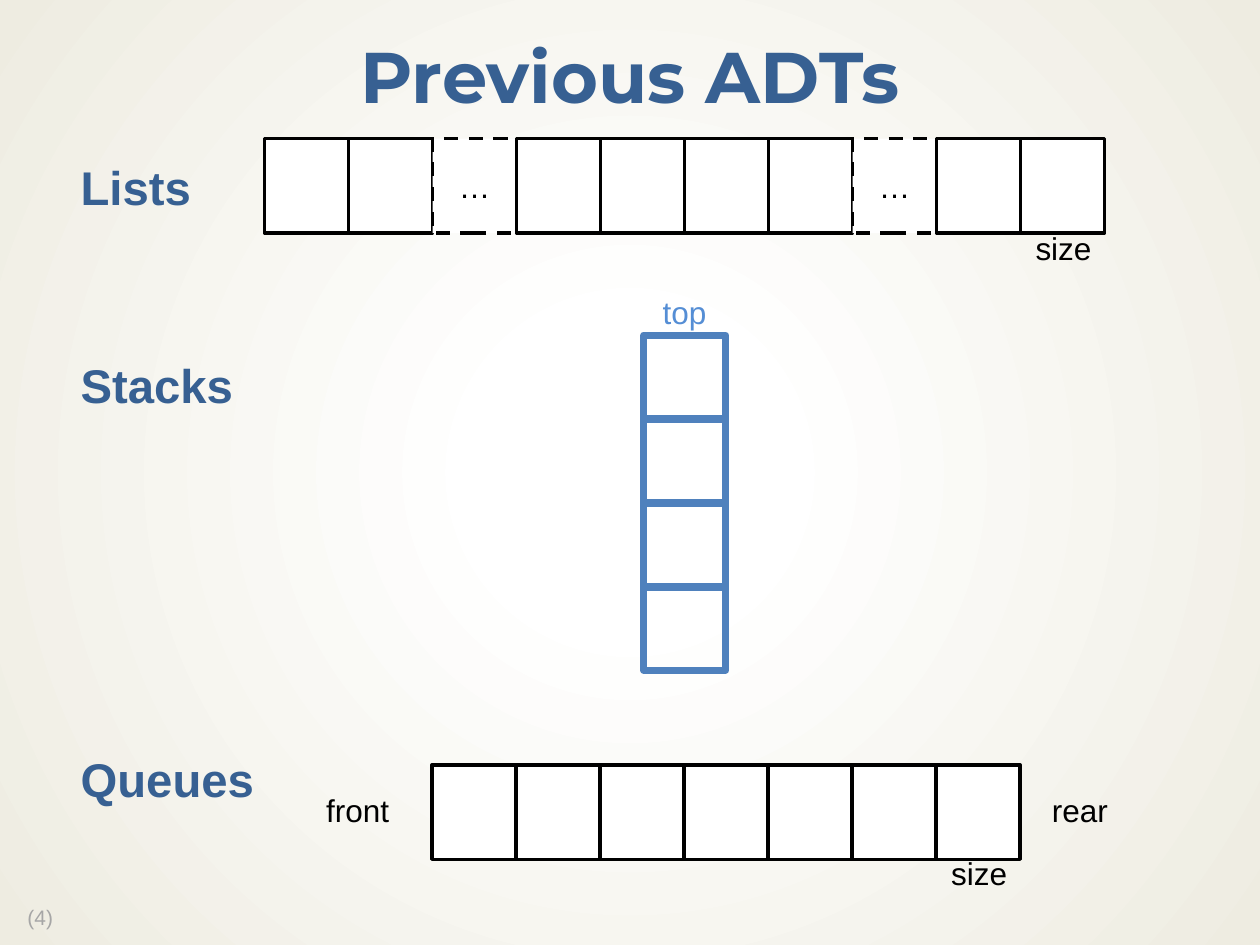
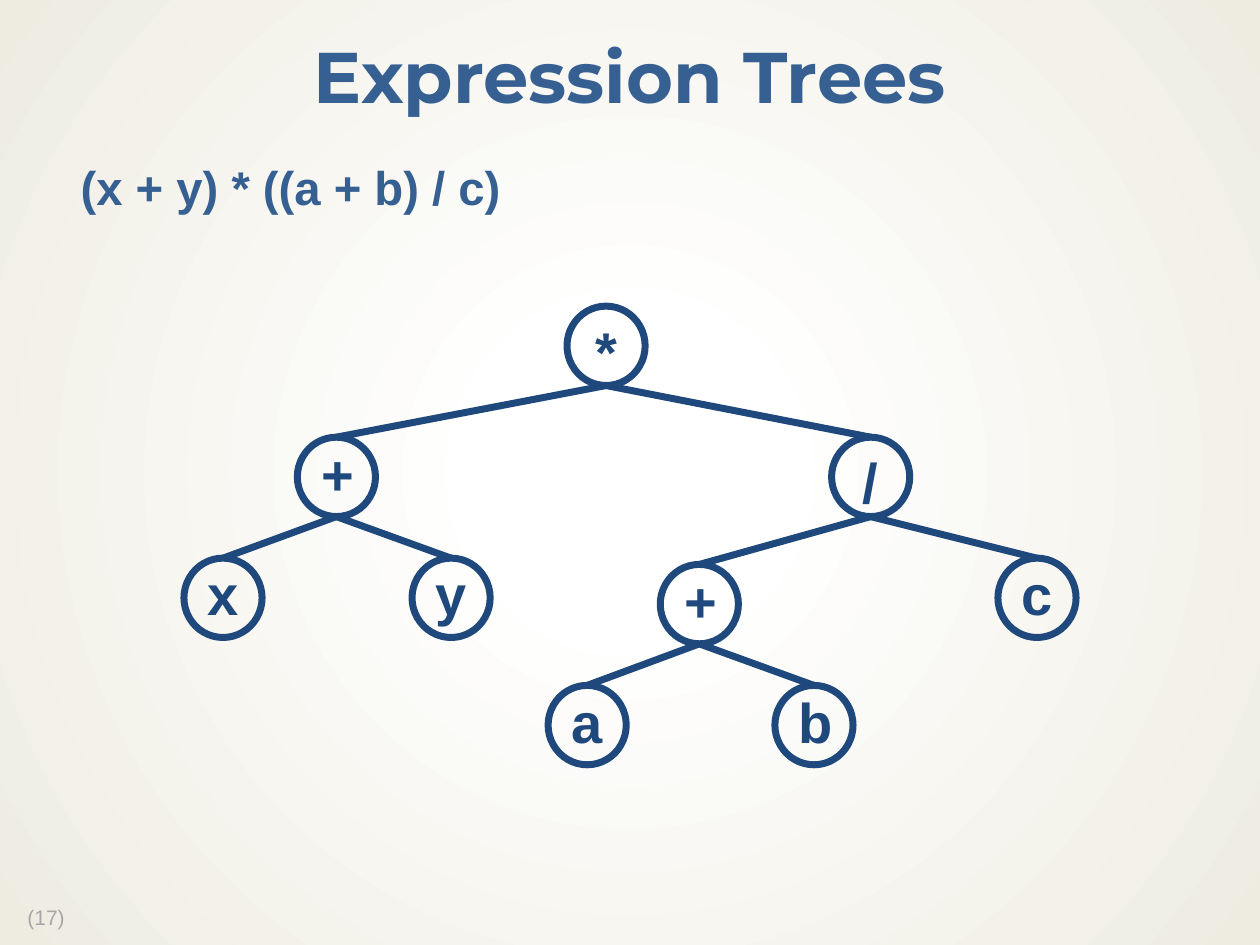
from lxml.etree import SubElement
from pptx import Presentation
from pptx.dml.color import RGBColor
from pptx.enum.dml import MSO_LINE
from pptx.enum.shapes import MSO_CONNECTOR, MSO_SHAPE
from pptx.enum.text import MSO_ANCHOR, MSO_AUTO_SIZE, PP_ALIGN
from pptx.oxml import parse_xml
from pptx.oxml.ns import nsdecls, qn
from pptx.util import Inches, Pt

COLORS = {
    "heading": "376092",
    "page_number": "A6A6A6",
    "ink": "000000",
    "paper": "FFFFFF",
    "edge": "EEECE1",
    "stack": "4F81BD",
    "top_label": "558ED5",
    "tree": "1F497D",
}
TITLE_FONT = {"name": "Montserrat", "size": Pt(41), "bold": True}
HEADING_FONT = {"name": "Arial", "size": Pt(27), "bold": True}
LABEL_FONT = {"name": "Arial", "size": Pt(18)}
PAGE_NUMBER_FONT = {"name": "Arial", "size": Pt(12)}
NODE_FONT = {"name": "Arial", "size": Pt(32), "bold": True}

TITLE_FRAME = {"vertical_anchor": MSO_ANCHOR.MIDDLE, "margin_left": Inches(0.13),
               "margin_right": Inches(0.13)}
BODY_FRAME = {"vertical_anchor": MSO_ANCHOR.TOP, "margin_left": Inches(0.12),
              "margin_right": Inches(0.12)}
PLACEHOLDER_FRAME = {"margin_top": Inches(0.06), "margin_bottom": Inches(0.06),
                     "word_wrap": True, "auto_size": MSO_AUTO_SIZE.NONE}

CELL_WIDTH, CELL_HEIGHT = 2 / 3, 0.75
STACK_WIDTH, STACK_HEIGHT = 0.65, 0.66
NODE_WIDTH, NODE_HEIGHT = 0.62, 0.63

# name: (symbol, left, top, parent)
TREE = {
    "product": ("*", 4.5, 2.43, None),
    "left sum": ("+", 2.36, 3.47, "product"),
    "x": ("x", 1.46, 4.43, "left sum"),
    "y": ("y", 3.27, 4.43, "left sum"),
    "quotient": ("/", 6.6, 3.47, "product"),
    "right sum": ("+", 5.24, 4.48, "quotient"),
    "a": ("a", 4.35, 5.44, "right sum"),
    "b": ("b", 6.15, 5.44, "right sum"),
    "c": ("c", 7.92, 4.43, "quotient"),
}


def rgb(color):
    return RGBColor.from_string(COLORS[color])


def apply_format(target, values):
    for name, value in values.items():
        setattr(target, name, value)


def format_font(paragraph, font, color):
    apply_format(paragraph.font, font)
    paragraph.font.color.rgb = rgb(color)


def place(shape, left, top, width, height):
    apply_format(shape, {"left": Inches(left), "top": Inches(top),
                         "width": Inches(width), "height": Inches(height)})


def set_background(master):
    """Give the master a radial gradient, white in the middle."""
    background = master.background
    background.fill.solid()
    properties = master.element.find(".//" + qn("p:bgPr"))
    gradient = parse_xml(
        f'<a:gradFill {nsdecls("a")} rotWithShape="1"><a:gsLst>'
        f'<a:gs pos="18000"><a:srgbClr val="{COLORS["paper"]}"/></a:gs>'
        f'<a:gs pos="100000"><a:srgbClr val="{COLORS["edge"]}"/></a:gs>'
        '</a:gsLst><a:path path="circle">'
        '<a:fillToRect l="50000" t="50000" r="50000" b="50000"/>'
        '</a:path></a:gradFill>')
    properties.replace(properties[0], gradient)


def add_label(slide, text, left, top, width, color="ink", font=LABEL_FONT, height=0.4):
    label = slide.shapes.add_textbox(
        Inches(left), Inches(top), Inches(width), Inches(height))
    label.text_frame.text = text
    paragraph = label.text_frame.paragraphs[0]
    format_font(paragraph, font, color)
    return paragraph


def add_slide(presentation, title, number, headings):
    """Add a slide; headings holds pairs of text and space before in points."""
    slide = presentation.slides.add_slide(presentation.slide_layouts[1])
    title_shape, body = slide.shapes.title, slide.placeholders[1]
    place(title_shape, 0, 0.17, 10, 0.94)
    place(body, 0.38, 1.25, 9.25, 5.65)
    apply_format(title_shape.text_frame, TITLE_FRAME | PLACEHOLDER_FRAME)
    apply_format(body.text_frame, BODY_FRAME | PLACEHOLDER_FRAME)

    title_shape.text_frame.text = title
    paragraph = title_shape.text_frame.paragraphs[0]
    apply_format(paragraph, {"alignment": PP_ALIGN.CENTER, "line_spacing": 0.9})
    format_font(paragraph, TITLE_FONT, "heading")

    body.text_frame.text = "\n".join(text for text, _ in headings)
    for paragraph, (_, space) in zip(body.text_frame.paragraphs, headings):
        properties = paragraph._p.get_or_add_pPr()
        properties.set("marL", str(Inches(0.14)))
        properties.set("indent", "0")
        SubElement(properties, qn("a:buNone"))
        apply_format(paragraph, {"line_spacing": 0.9, "space_before": Pt(space)})
        format_font(paragraph, HEADING_FONT, "heading")

    number_paragraph = add_label(slide, f"({number})", 0.12, 7.15, 0.5,
                                 "page_number", PAGE_NUMBER_FONT, 0.28)
    number_paragraph.line_spacing = 0.9
    return slide


def add_outline(slide, kind, left, top, width, height, color, weight):
    shape = slide.shapes.add_shape(
        kind, Inches(left), Inches(top), Inches(width), Inches(height))
    shape.shadow.inherit = False
    shape.fill.background()
    shape.line.color.rgb = rgb(color)
    shape.line.width = Pt(weight)
    return shape


def write_centred(shape, text, font, color):
    shape.text_frame.text = text
    paragraph = shape.text_frame.paragraphs[0]
    paragraph.alignment = PP_ALIGN.CENTER
    format_font(paragraph, font, color)
    return paragraph


def add_cell_row(slide, left, top, count, gaps=()):
    """Draw a row of cells; the indexes in gaps are dashed and hold an ellipsis."""
    for index in range(count):
        cell = add_outline(slide, MSO_SHAPE.RECTANGLE, left + index * CELL_WIDTH, top,
                           CELL_WIDTH, CELL_HEIGHT, "ink", 2)
        cell.fill.solid()
        cell.fill.fore_color.rgb = rgb("paper")
        if index in gaps:
            cell.line.dash_style = MSO_LINE.DASH
            write_centred(cell, "…", LABEL_FONT, "ink")


def add_stack(slide, left, top, count):
    for index in range(count):
        add_outline(slide, MSO_SHAPE.RECTANGLE, left, top + index * 2 / 3,
                    STACK_WIDTH, STACK_HEIGHT, "stack", 4)


def add_node(slide, symbol, left, top):
    node = add_outline(slide, MSO_SHAPE.OVAL, left, top, NODE_WIDTH, NODE_HEIGHT, "tree", 4)
    write_centred(node, symbol, NODE_FONT, "tree").line_spacing = 0.9
    if symbol in "*/":
        node.text_frame.vertical_anchor = MSO_ANCHOR.TOP
    return node


def add_branch(slide, parent, child):
    """Draw a line from the bottom of the parent to the top of the child."""
    branch = slide.shapes.add_connector(
        MSO_CONNECTOR.STRAIGHT, parent.left + parent.width // 2,
        parent.top + parent.height, child.left + child.width // 2, child.top)
    branch.end_connect(child, 0)
    branch.line.color.rgb = rgb("tree")
    branch.line.width = Pt(4)
    SubElement(branch._element.spPr, qn("a:effectLst"))


def add_previous_adts(presentation):
    slide = add_slide(presentation, "Previous ADTs", 4,
                      [("Lists", 0), ("Stacks", 84), ("Queues", 195.5)])
    add_cell_row(slide, 2.1, 1.1, 10, gaps=(2, 7))
    add_label(slide, "size", 8.12, 1.77, 0.65)
    add_stack(slide, 5.11, 2.66, 4)
    add_label(slide, "top", 5.16, 2.28, 0.55, "top_label")
    add_cell_row(slide, 3.43, 6.07, 7)
    add_label(slide, "size", 7.45, 6.73, 0.65)
    add_label(slide, "rear", 8.25, 6.23, 0.65)
    add_label(slide, "front", 2.49, 6.23, 0.71)


def add_expression_trees(presentation):
    slide = add_slide(presentation, "Expression Trees", 17,
                      [("(x + y) * ((a + b) / c)", 0)])
    nodes = {name: add_node(slide, symbol, left, top)
             for name, (symbol, left, top, _) in TREE.items()}
    for name, (_, _, _, parent) in TREE.items():
        if parent:
            add_branch(slide, nodes[parent], nodes[name])


def main():
    presentation = Presentation()
    presentation.slide_width = Inches(10)
    presentation.slide_height = Inches(7.5)
    set_background(presentation.slide_master)
    add_previous_adts(presentation)
    add_expression_trees(presentation)
    presentation.save("out.pptx")


if __name__ == "__main__":
    main()
